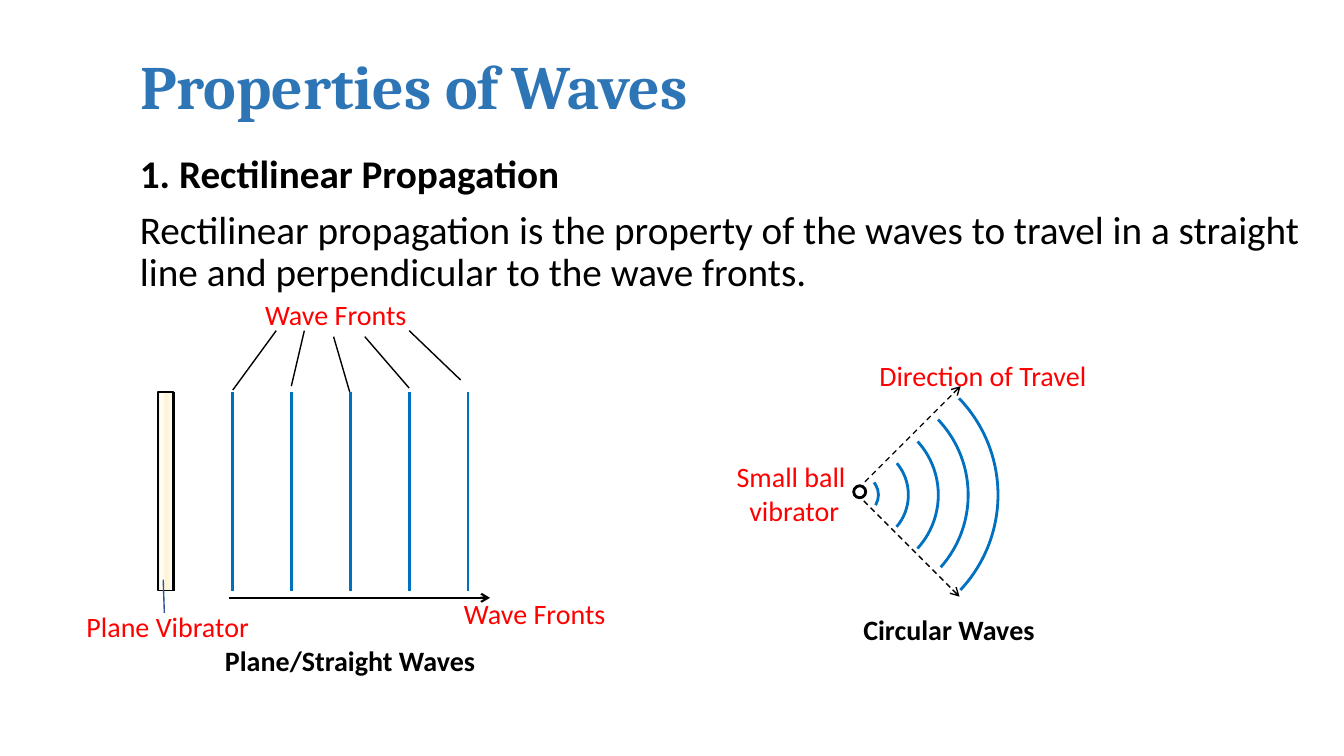
from dataclasses import dataclass
from lxml.etree import SubElement
from pptx import Presentation
from pptx.dml.color import RGBColor
from pptx.enum.dml import MSO_LINE_DASH_STYLE as Dash
from pptx.enum.shapes import MSO_CONNECTOR as Connector, MSO_SHAPE as Shape
from pptx.enum.text import MSO_ANCHOR as Anchor, MSO_AUTO_SIZE as AutoSize, PP_ALIGN as Align
from pptx.oxml.ns import qn
from pptx.util import Pt


@dataclass(frozen=True)
class Theme:
    heading_font: str = "Cambria"
    body_font: str = "Calibri"
    title_size: int = 44
    body_size: int = 28
    label_size: int = 20
    title: str = "2E75B6"
    ink: str = "000000"
    label: str = "FF0000"
    wave: str = "0070C0"
    pointer: str = "2F5597"
    # Position in percent, colour, opacity in percent
    vibrator: tuple = ((6, "FFF2CC", 100), (21, "FFFFFF", 38), (46, "FFE699", 38),
                       (83, "FFFFFF", 100), (100, "FFE699", 100))


THEME = Theme()


def style_font(font, name, size, color, bold=False):
    font.name = name
    font.size = Pt(size)
    font.bold = bold
    font.color.rgb = RGBColor.from_string(color)


def place(shape, left, top, width, height):
    shape.left, shape.top = Pt(left), Pt(top)
    shape.width, shape.height = Pt(width), Pt(height)


def add_title(page, text):
    title = page.shapes.title
    place(title, 92.9, 21.6, 805, 84.2)
    frame = title.text_frame
    frame.text = text
    frame.auto_size = AutoSize.NONE
    frame.vertical_anchor = Anchor.MIDDLE
    para = frame.paragraphs[0]
    para.alignment = Align.LEFT
    para.line_spacing = 0.9
    style_font(para.font, THEME.heading_font, THEME.title_size, THEME.title, True)


def add_body(page, heading, text):
    box = page.shapes.add_textbox(Pt(92.9), Pt(106.6), Pt(856), Pt(412.6))
    frame = box.text_frame
    frame.word_wrap = True
    frame.text = f"{heading}\n{text}"
    for index, para in enumerate(frame.paragraphs):
        para.line_spacing = 0.9
        para.space_before = Pt(10 * index)
        style_font(para.font, THEME.body_font, THEME.body_size, THEME.ink, index == 0)


def add_label(page, text, left, top, width, height=31.5, align=Align.CENTER):
    box = page.shapes.add_textbox(Pt(left), Pt(top), Pt(width), Pt(height))
    frame = box.text_frame
    frame.word_wrap = False
    frame.auto_size = AutoSize.SHAPE_TO_FIT_TEXT
    frame.text = text
    for para in frame.paragraphs:
        para.alignment = align
        style_font(para.font, THEME.body_font, THEME.label_size, THEME.label)


def add_caption(page, text, left, top):
    box = page.shapes.add_textbox(Pt(left), Pt(top), Pt(218), Pt(31.5))
    frame = box.text_frame
    frame.word_wrap = True
    frame.text = text
    para = frame.paragraphs[0]
    para.alignment = Align.CENTER
    style_font(para.font, THEME.body_font, THEME.label_size, THEME.ink, True)


def style_line(line, color, width):
    line.color.rgb = RGBColor.from_string(color)
    line.width = Pt(width)


def add_line(page, start, end, color=THEME.ink, width=1, dashed=False, arrow=False):
    points = [Pt(value) for value in (*start, *end)]
    connector = page.shapes.add_connector(Connector.STRAIGHT, *points)
    style_line(connector.line, color, width)
    if dashed:
        connector.line.dash_style = Dash.DASH
    properties = connector._element.spPr
    if arrow:
        SubElement(properties.find(qn("a:ln")), qn("a:tailEnd"), type="arrow")
    SubElement(properties, qn("a:effectLst"))


def add_outline(page, kind, left, top, width, height, color=THEME.ink, weight=2):
    shape = page.shapes.add_shape(kind, Pt(left), Pt(top), Pt(width), Pt(height))
    shape.shadow.inherit = False
    shape.fill.background()
    style_line(shape.line, color, weight)
    return shape


def fill_gradient(shape, stops):
    shape.fill.gradient()
    shape.fill.gradient_angle = 0
    stop_list = shape._element.spPr.find(qn("a:gradFill")).find(qn("a:gsLst"))
    for old_stop in list(stop_list):
        stop_list.remove(old_stop)
    for position, color, opacity in stops:
        stop = SubElement(stop_list, qn("a:gs"), pos=str(position * 1000))
        tint = SubElement(stop, qn("a:srgbClr"), val=color)
        if opacity < 100:
            SubElement(tint, qn("a:alpha"), val=str(opacity * 1000))


def add_plane_waves(page):
    top, bottom = 280, 422
    # Plane vibrator
    vibrator = add_outline(page, Shape.RECTANGLE, 113, top, 10.8, bottom - top, weight=1)
    fill_gradient(vibrator, THEME.vibrator)
    add_line(page, (123.8, top), (123.8, bottom), width=2)

    # Evenly spaced wave fronts
    for index in range(5):
        x = 166.3 + 42 * index
        add_line(page, (x, top), (x, bottom), THEME.wave, 2)
    add_line(page, (163.4, 427), (350, 427), width=1.5, arrow=True)

    # Leaders from the label to the wave fronts
    leaders = (
        ((197.3, 236.2), (166.3, 278.6)),
        ((217.4, 236.2), (208.1, 275.8)),
        ((238.3, 240.5), (249.8, 280)),
        ((260.6, 240.5), (292.3, 277.2)),
        ((292.3, 236.2), (329, 271.4)),
    )
    for start, end in leaders:
        add_line(page, start, end)
    add_line(page, (117.4, 437.8), (116.6, 414), THEME.pointer)

    # Labels
    add_label(page, "Wave Fronts", 182.2, 208.8, 116.6, align=Align.LEFT)
    add_label(page, "Wave Fronts", 324.3, 422.6, 116.6, align=Align.LEFT)
    add_label(page, "Plane Vibrator", 54.7, 432, 131.8, align=Align.LEFT)
    add_caption(page, "Plane/Straight Waves", 141.1, 455.8)


def add_circular_waves(page):
    center_x, center_y = 613.5, 353.5
    # Concentric arcs: start and end adjustments
    sweeps = ((192.45, 18.97), (192.13, 24.18), (190.62, 25.47),
              (189.87, 24.89), (189.63, 25.87))
    for index, (start, end) in enumerate(sweeps):
        size = 28 + 42.7 * index
        arc = add_outline(page, Shape.ARC, center_x - size / 2, center_y - size / 2,
                          size, size, THEME.wave)
        arc.adjustments[0] = start
        arc.adjustments[1] = end

    # Directions of travel and ball vibrator
    add_line(page, (617, 357.8), (685.4, 426.2), dashed=True, arrow=True)
    add_line(page, (617.8, 344.2), (686.2, 275.8), dashed=True, arrow=True)
    add_outline(page, Shape.OVAL, 609.8, 347, 8.6, 8.6)

    # Labels
    add_label(page, "Small ball \nvibrator", 518.4, 324.7, 97.9, 55.4)
    add_label(page, "Direction of Travel", 619.9, 252.7, 164.2)
    add_caption(page, "Circular Waves", 568.8, 434.2)


def main():
    deck = Presentation()
    deck.slide_width, deck.slide_height = Pt(960), Pt(540)
    page = deck.slides.add_slide(deck.slide_layouts.get_by_name("Title Only"))
    add_title(page, "Properties of Waves")
    add_body(page, "1. Rectilinear Propagation",
             "Rectilinear propagation is the property of the waves to travel in a "
             "straight line and perpendicular to the wave fronts.")
    add_plane_waves(page)
    add_circular_waves(page)
    deck.save("out.pptx")


if __name__ == "__main__":
    main()
